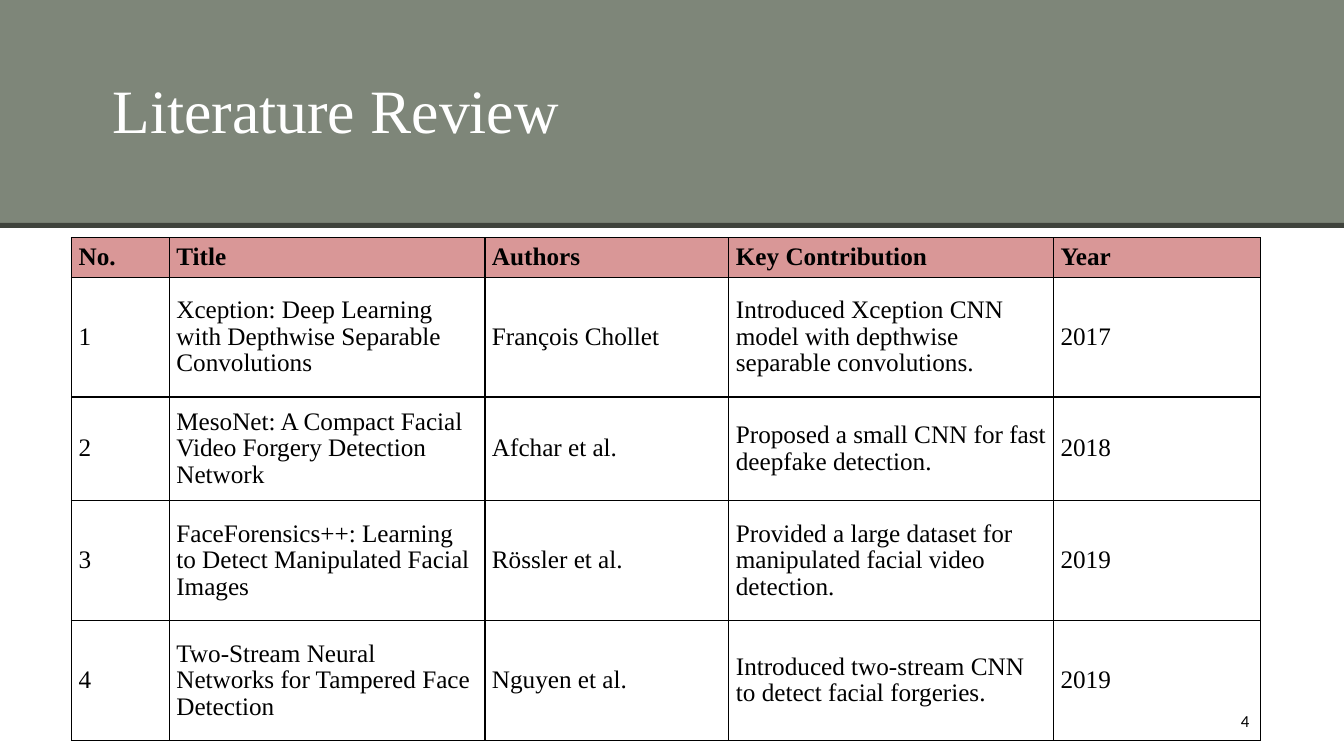
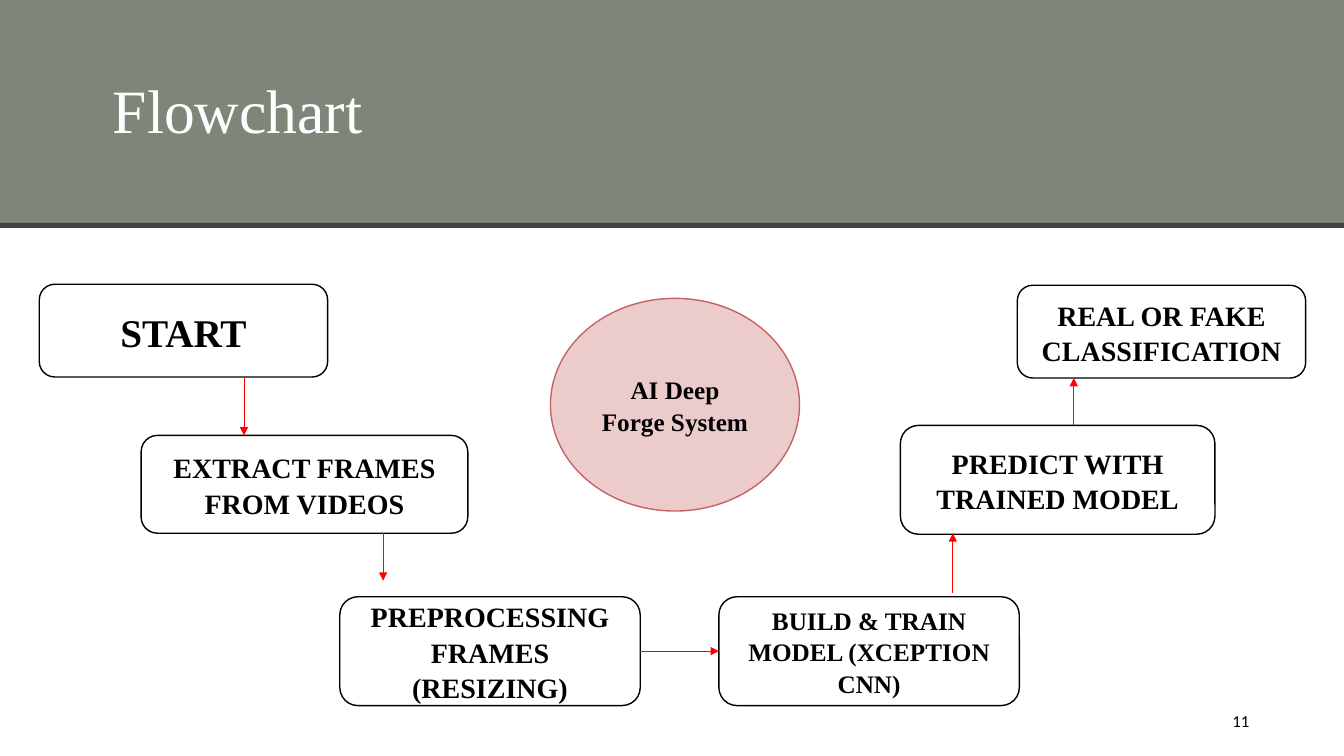
from pptx import Presentation
from pptx.dml.color import RGBColor
from pptx.enum.shapes import MSO_CONNECTOR, MSO_SHAPE
from pptx.enum.text import MSO_ANCHOR as Anchor, PP_ALIGN as Align
from pptx.oxml import parse_xml
from pptx.oxml.ns import nsdecls, qn
from pptx.util import Pt
from lxml.etree import SubElement

# Lengths are px, 100 to the inch
EMU_PER_PX = 9144
SLIDE_WIDTH, SLIDE_HEIGHT = 1333, 750

SAGE = RGBColor(0x7E, 0x86, 0x79)
CHARCOAL = RGBColor(0x3F, 0x43, 0x3C)
ROSE = RGBColor(0xD9, 0x97, 0x97)
PALE_ROSE = RGBColor(0xEC, 0xCB, 0xCB)
DEEP_ROSE = RGBColor(0xC7, 0x62, 0x64)
RED = RGBColor(0xFF, 0x00, 0x00)
BLACK = RGBColor(0x00, 0x00, 0x00)
WHITE = RGBColor(0xFF, 0xFF, 0xFF)

SERIF, SANS = "Times New Roman", "Calibri"
TITLE_FONT = {"name": SERIF, "size": Pt(44)}
NUMBER_FONT = {"name": SANS, "size": Pt(12)}
CELL_FONT = {"name": SERIF, "size": Pt(18)}

# Literature table
COLUMN_WIDTHS = [97, 313, 242, 322, 205]
ROW_HEIGHTS = [39, 119, 103, 119, 119]
CELL_MARGINS = {"margin_left": 7, "margin_right": 7, "margin_top": 4, "margin_bottom": 4}
PAPERS = [
    ("No.", "Title", "Authors", "Key Contribution", "Year"),
    ("1", "Xception: Deep Learning with Depthwise Separable Convolutions",
     "François Chollet",
     "Introduced Xception CNN model with depthwise separable convolutions.", "2017"),
    ("2", "MesoNet: A Compact Facial Video Forgery Detection Network",
     "Afchar et al.", "Proposed a small CNN for fast deepfake detection.", "2018"),
    ("3", "FaceForensics++: Learning to Detect Manipulated Facial Images",
     "Rössler et al.",
     "Provided a large dataset for manipulated facial video detection.", "2019"),
    ("4", "Two-Stream Neural Networks for Tampered Face Detection",
     "Nguyen et al.", "Introduced two-stream CNN to detect facial forgeries.", "2019"),
]

# Flowchart: text, box (left, top, width, height), text size
STEPS = [
    ("START", (39, 282, 286, 92), 28),
    ("EXTRACT FRAMES FROM VIDEOS", (140, 432, 324, 97), 20),
    ("PREPROCESSING FRAMES (RESIZING)", (337, 592, 298, 108), 20),
    ("BUILD & TRAIN MODEL (XCEPTION CNN)", (713, 592, 298, 108), 18),
    ("PREDICT WITH TRAINED MODEL", (893, 422, 312, 108), 20),
    ("REAL OR FAKE CLASSIFICATION", (1009, 283, 286, 92), 20),
]
ARROWS = [  # start x, start y, end x, end y
    (242, 374, 242, 432),
    (380, 529, 380, 576),
    (635, 646, 713, 646),
    (945, 588, 945, 529),
    (1065, 422, 1065, 375),
]


def px(*lengths):
    return [length * EMU_PER_PX for length in lengths]


def set_attributes(target, values):
    for name, value in values.items():
        setattr(target, name, value)


def write_text(frame, text, font, color=BLACK, align=Align.LEFT, spacing=1.0):
    set_attributes(frame, {"word_wrap": True, "vertical_anchor": Anchor.MIDDLE})
    paragraph = frame.paragraphs[0]
    set_attributes(paragraph, {"alignment": align, "line_spacing": spacing})
    run = paragraph.add_run()
    run.text = text
    set_attributes(run.font, font)
    run.font.color.rgb = color


def add_box(slide, kind, box, fill, line=None):
    shape = slide.shapes.add_shape(kind, *px(*box))
    shape.shadow.inherit = False
    shape.fill.solid()
    shape.fill.fore_color.rgb = fill
    if line is None:
        shape.line.fill.background()
    else:
        shape.line.color.rgb = line
        shape.line.width = Pt(1)
    return shape


def add_node(slide, kind, box, text, size, fill, line):
    shape = add_box(slide, kind, box, fill, line)
    font = {"name": SERIF, "size": Pt(size), "bold": True}
    write_text(shape.text_frame, text, font, align=Align.CENTER, spacing=1.05)


def add_text(slide, box, text, font, **style):
    write_text(slide.shapes.add_textbox(*px(*box)).text_frame, text, font, **style)


def add_arrow(slide, ends):
    arrow = slide.shapes.add_connector(MSO_CONNECTOR.STRAIGHT, *px(*ends))
    arrow.line.color.rgb = RED
    arrow.line.width = Pt(0.5)
    SubElement(arrow.line._get_or_add_ln(), qn("a:tailEnd"), type="triangle")
    SubElement(arrow._element.spPr, qn("a:effectLst"))


def add_borders(cell):
    properties = cell._tc.get_or_add_tcPr()
    for index, side in enumerate(("lnL", "lnR", "lnT", "lnB")):
        properties.insert(index, parse_xml(
            f'<a:{side} {nsdecls("a")} w="{Pt(1)}"><a:solidFill>'
            f'<a:srgbClr val="{BLACK}"/></a:solidFill></a:{side}>'))


def format_cell(cell, text, is_header):
    set_attributes(cell, {name: px(margin)[0] for name, margin in CELL_MARGINS.items()})
    cell.vertical_anchor = Anchor.MIDDLE
    write_text(cell.text_frame, text, {**CELL_FONT, "bold": is_header}, spacing=0.95)
    if is_header:
        cell.fill.solid()
        cell.fill.fore_color.rgb = ROSE
    else:
        cell.fill.background()
    add_borders(cell)


def add_grid(slide, left, top, rows):
    size = (sum(COLUMN_WIDTHS), sum(ROW_HEIGHTS))
    table = slide.shapes.add_table(
        len(rows), len(rows[0]), *px(left, top, *size)).table
    set_attributes(table, {"first_row": False, "horz_banding": False})
    for column, width in zip(table.columns, px(*COLUMN_WIDTHS)):
        column.width = width
    for row, height in zip(table.rows, px(*ROW_HEIGHTS)):
        row.height = height
    for row_index, texts in enumerate(rows):
        for column_index, text in enumerate(texts):
            format_cell(table.cell(row_index, column_index), text, row_index == 0)


def add_titled_slide(presentation, title, number):
    """Start a slide with the shared band, title and page number."""
    slide = presentation.slides.add_slide(presentation.slide_layouts[6])
    add_box(slide, MSO_SHAPE.RECTANGLE, (0, 0, SLIDE_WIDTH, 224), SAGE)
    add_box(slide, MSO_SHAPE.RECTANGLE, (0, 221, SLIDE_WIDTH, 5), CHARCOAL)
    add_text(slide, (102, 25, 1042, 175), title, TITLE_FONT, color=WHITE, spacing=0.9)
    add_text(slide, (1163, 695, 86, 40), str(number), NUMBER_FONT, align=Align.RIGHT)
    return slide


def main():
    presentation = Presentation()
    presentation.slide_width, presentation.slide_height = px(SLIDE_WIDTH, SLIDE_HEIGHT)

    # Literature review
    slide = add_titled_slide(presentation, "Literature Review", 4)
    add_grid(slide, 71, 236, PAPERS)

    # Flowchart
    slide = add_titled_slide(presentation, "Flowchart", 11)
    for text, box, size in STEPS:
        add_node(slide, MSO_SHAPE.ROUNDED_RECTANGLE, box, text, size, WHITE, BLACK)
    for ends in ARROWS:
        add_arrow(slide, ends)
    add_node(slide, MSO_SHAPE.OVAL, (546, 296, 247, 211),
             "AI Deep Forge System", 18, PALE_ROSE, DEEP_ROSE)

    presentation.save("out.pptx")


if __name__ == "__main__":
    main()
